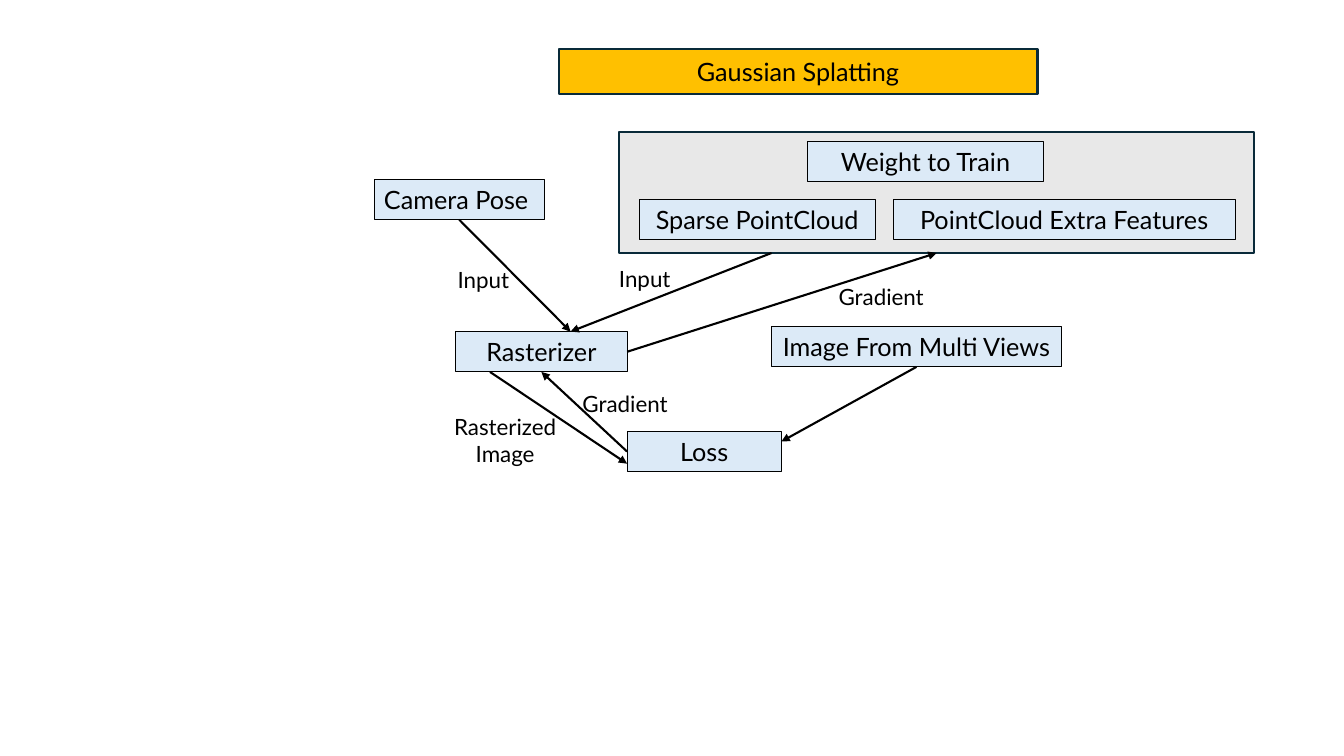
import lxml.etree
import pptx
import pptx.dml.color
import pptx.enum.shapes
import pptx.enum.text
import pptx.oxml.ns
import pptx.util

PX = 9144  # 100 px to the inch
PAGE_SIZE = (1333, 750)
BOX_HEIGHT = 40

THEME = {
    "font": "Lato", "text": "000000", "box_size": 18, "label_size": 16,
    "arrow": ("000000", 1.5),
    "box": {"fill": "DCEAF7", "line": "000000", "weight": 0.75},
    "frame": {"fill": "E8E8E8", "line": "092A39", "weight": 1.5},
    "title": {"fill": "FFC000", "line": "092A39", "weight": 1.5},
}

TITLE = ("Gaussian Splatting", (554, 49, 475, 44))
FRAME = (614, 131, 630, 120)

# name: (text, left, top, width)
BOXES = {
    "rasterizer": ("Rasterizer", 452, 329, 170),
    "camera": ("Camera Pose", 371, 178, 169),
    "weight": ("Weight to Train", 801, 140, 234),
    "sparse": ("Sparse PointCloud", 634, 198, 234),
    "extra": ("PointCloud Extra Features", 886, 198, 339),
    "loss": ("Loss", 622, 428, 153),
    "views": ("Image From Multi Views", 765, 324, 288),
}

# Each end: (box name, share of its width, share of its height)
ARROWS = [
    (("frame", 0.24, 1), ("rasterizer", 0.67, 0)),
    (("rasterizer", 1, 0.5), ("frame", 0.5, 1)),
    (("camera", 0.5, 1), ("rasterizer", 0.67, 0)),
    (("views", 0.5, 1), ("loss", 1, 0.25)),
    (("loss", 0, 0.5), ("rasterizer", 0.5, 1)),
    (("rasterizer", 0.2, 1), ("loss", 0, 0.8)),
]

LABELS = [
    ("Input", (438, 259, 83, 37)),
    ("Input", (598, 258, 83, 37)),
    ("Rasterized Image", (412, 405, 178, 64)),
    ("Gradient", (566, 382, 108, 37)),
    ("Gradient", (820, 276, 108, 37)),
]

ALIGN = pptx.enum.text.PP_ALIGN
ANCHOR = pptx.enum.text.MSO_ANCHOR
GROW = pptx.enum.text.MSO_AUTO_SIZE.SHAPE_TO_FIT_TEXT


def emu(lengths):
    return [round(length * PX) for length in lengths]


def colour(code):
    return pptx.dml.color.RGBColor.from_string(code)


def set_all(target, values):
    for name, value in values.items():
        setattr(target, name, value)


def write(shape, text, size, align=ALIGN.CENTER, **frame_format):
    set_all(shape.text_frame, {"word_wrap": True, **frame_format})
    para = shape.text_frame.paragraphs[0]
    para.alignment = align
    span = para.add_run()
    span.text = text
    set_all(span.font, {"name": THEME["font"], "size": pptx.util.Pt(size)})
    span.font.color.rgb = colour(THEME["text"])


def add_box(page, area, style):
    kind = pptx.enum.shapes.MSO_SHAPE.RECTANGLE
    box = page.shapes.add_shape(kind, *emu(area))
    box.shadow.inherit = False
    box.fill.solid()
    box.fill.fore_color.rgb = colour(style["fill"])
    box.line.color.rgb = colour(style["line"])
    box.line.width = pptx.util.Pt(style["weight"])
    return box


def add_arrow(page, start, end):
    kind = pptx.enum.shapes.MSO_CONNECTOR.STRAIGHT
    arrow = page.shapes.add_connector(kind, *emu(start + end))
    code, weight = THEME["arrow"]
    arrow.line.color.rgb = colour(code)
    arrow.line.width = pptx.util.Pt(weight)
    qn = pptx.oxml.ns.qn
    outline = arrow.line._get_or_add_ln()
    lxml.etree.SubElement(outline, qn("a:tailEnd"), type="triangle")
    lxml.etree.SubElement(arrow._element.spPr, qn("a:effectLst"))


def main():
    deck = pptx.Presentation()
    deck.slide_width, deck.slide_height = emu(PAGE_SIZE)
    page = deck.slides.add_slide(deck.slide_layouts[6])

    areas = {"frame": FRAME}
    add_box(page, FRAME, THEME["frame"])
    for name, (text, left, top, width) in BOXES.items():
        areas[name] = (left, top, width, BOX_HEIGHT)
        box = add_box(page, areas[name], THEME["box"])
        align = ALIGN.LEFT if name == "camera" else ALIGN.CENTER
        write(box, text, THEME["box_size"], align,
              auto_size=GROW, vertical_anchor=ANCHOR.TOP)

    def point(name, across, down):
        left, top, width, height = areas[name]
        return left + across * width, top + down * height

    for start, end in ARROWS:
        add_arrow(page, point(*start), point(*end))

    for text, area in LABELS:
        label = page.shapes.add_textbox(*emu(area))
        write(label, text, THEME["label_size"], auto_size=GROW)

    text, area = TITLE
    title = add_box(page, area, THEME["title"])
    write(title, text, THEME["box_size"], vertical_anchor=ANCHOR.MIDDLE)

    deck.save("out.pptx")


if __name__ == "__main__":
    main()
